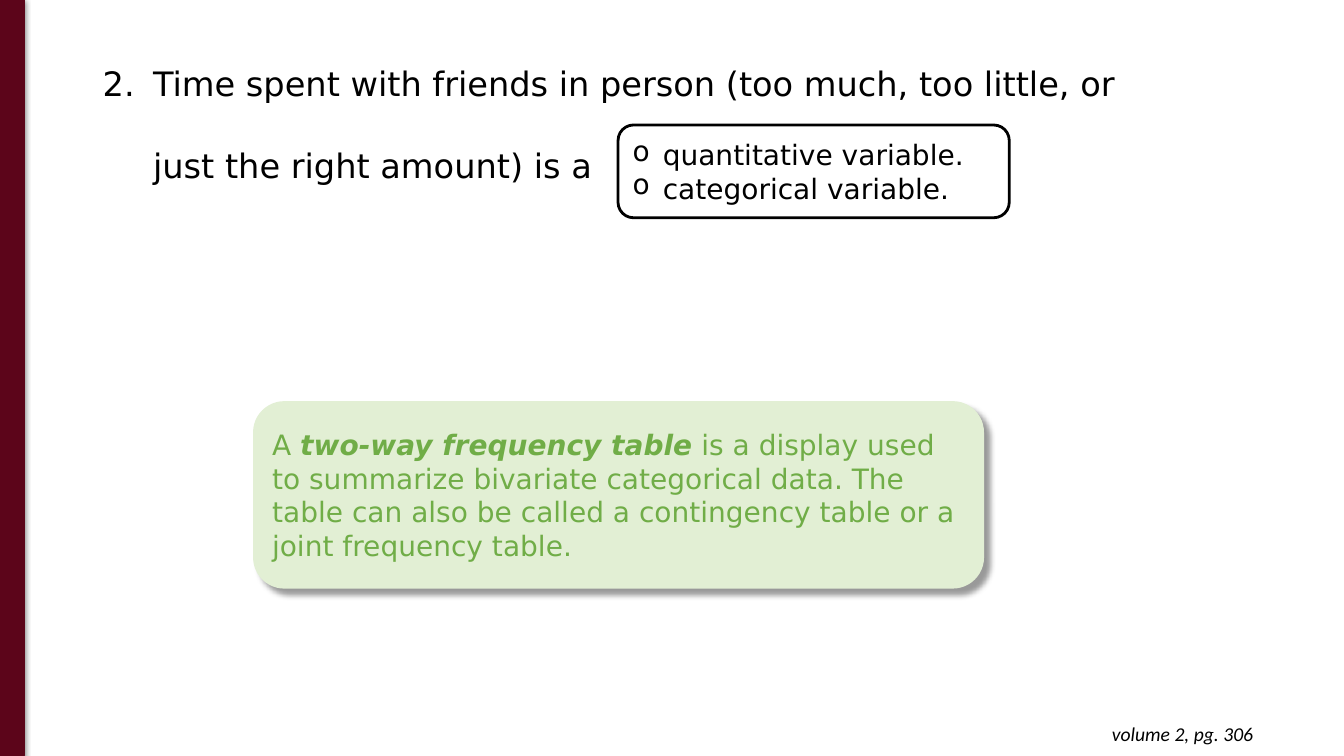
import pptx
import pptx.util
import pptx.dml.color
import pptx.enum.shapes
import pptx.enum.text
import pptx.oxml.ns
import lxml.etree

Inches = pptx.util.Inches
Pt = pptx.util.Pt
RGB = pptx.dml.color.RGBColor.from_string
Kind = pptx.enum.shapes.MSO_SHAPE
Anchor = pptx.enum.text.MSO_ANCHOR
qn = pptx.oxml.ns.qn
hues = {"ink": "000000", "wine": "5C051A", "paper": "FFFFFF", "mint": "E2EFD4", "green": "70AD47"}


def write(para, text, size, hue="ink", face="DejaVu Sans", bold=False, slant=False):
    run = para.add_run()
    run.text = text
    run.font.size = Pt(size)
    run.font.name = face
    run.font.bold = bold
    run.font.italic = slant
    run.font.color.rgb = RGB(hues[hue])


def indent(para, left, first, tag, **marks):
    props = para._p.get_or_add_pPr()
    props.set("marL", str(Inches(left)))
    props.set("indent", str(Inches(first)))
    if tag != "a:buNone":
        color = lxml.etree.SubElement(props, qn("a:buClr"))
        lxml.etree.SubElement(color, qn("a:srgbClr"), val=hues["ink"])
    lxml.etree.SubElement(props, qn(tag), **marks)


deck = pptx.Presentation()
deck.slide_width = Inches(13.33)
deck.slide_height = Inches(7.5)
slide = deck.slides.add_slide(deck.slide_layouts[6])

ask = slide.shapes.add_textbox(Inches(0.92), Inches(0.57), Inches(11.29), Inches(1.72)).text_frame
ask.word_wrap = True
para = ask.paragraphs[0]
indent(para, 0.5, -0.5, "a:buAutoNum", type="arabicPeriod", startAt="2")
write(para, "Time spent with friends in person (too much, too little, or", 24)
para = ask.add_paragraph()
indent(para, 0.5, 0, "a:buNone")
para.space_before = Pt(30)
write(para, "just the right amount) is a", 24)

frames = []
for kind, left, top, width, height, fill, line, weight, shade in [
    (Kind.RECTANGLE, 0, -0.01, 0.24, 7.51, "wine", "wine", 0.75, (50, 4.5, 1.5, 90)),
    (Kind.ROUNDED_RECTANGLE, 6.13, 1.24, 3.88, 0.92, "paper", "ink", 2, None),
    (Kind.ROUNDED_RECTANGLE, 2.51, 3.98, 7.25, 1.86, "mint", None, 0, (40, 4, 6, 45)),
]:
    shape = slide.shapes.add_shape(kind, Inches(left), Inches(top), Inches(width), Inches(height))
    shape.fill.solid()
    shape.fill.fore_color.rgb = RGB(hues[fill])
    if line:
        shape.line.color.rgb = RGB(hues[line])
        shape.line.width = Pt(weight)
    else:
        shape.line.fill.background()
    shape.shadow.inherit = False
    if shade:
        alpha, blur, dist, angle = shade
        glow = lxml.etree.SubElement(
            shape._element.spPr.find(qn("a:effectLst")), qn("a:outerShdw"),
            blurRad=str(Pt(blur)), dist=str(Pt(dist)), dir=str(angle * 60000),
            algn="tl", rotWithShape="0")
        tint = lxml.etree.SubElement(glow, qn("a:srgbClr"), val=hues["ink"])
        lxml.etree.SubElement(tint, qn("a:alpha"), val=str(alpha * 1000))
    frame = shape.text_frame
    frame.word_wrap = True
    frame.vertical_anchor = Anchor.MIDDLE
    frame.paragraphs[0].alignment = pptx.enum.text.PP_ALIGN.LEFT
    frames.append(frame)

band, picks, term = frames
for rank, text in enumerate(["quantitative variable.", "categorical variable."]):
    para = picks.add_paragraph() if rank else picks.paragraphs[0]
    para.alignment = pptx.enum.text.PP_ALIGN.LEFT
    indent(para, 0.3, -0.38, "a:buChar", char="o")
    write(para, text, 20)

para = term.paragraphs[0]
write(para, "A ", 20, "green")
write(para, "two-way frequency table", 20, "green", bold=True, slant=True)
write(para, " is a display used to summarize bivariate categorical data. "
      "The table can also be called a contingency table or a joint frequency table.", 20, "green")

note = slide.shapes.add_textbox(Inches(9.65), Inches(7.06), Inches(2.88), Inches(0.44)).text_frame
note.word_wrap = True
note.margin_top = note.margin_bottom = Inches(0.1)
para = note.paragraphs[0]
para.alignment = pptx.enum.text.PP_ALIGN.RIGHT
write(para, "volume 2, pg. 306", 14, face="Calibri", slant=True)

deck.save("out.pptx")
